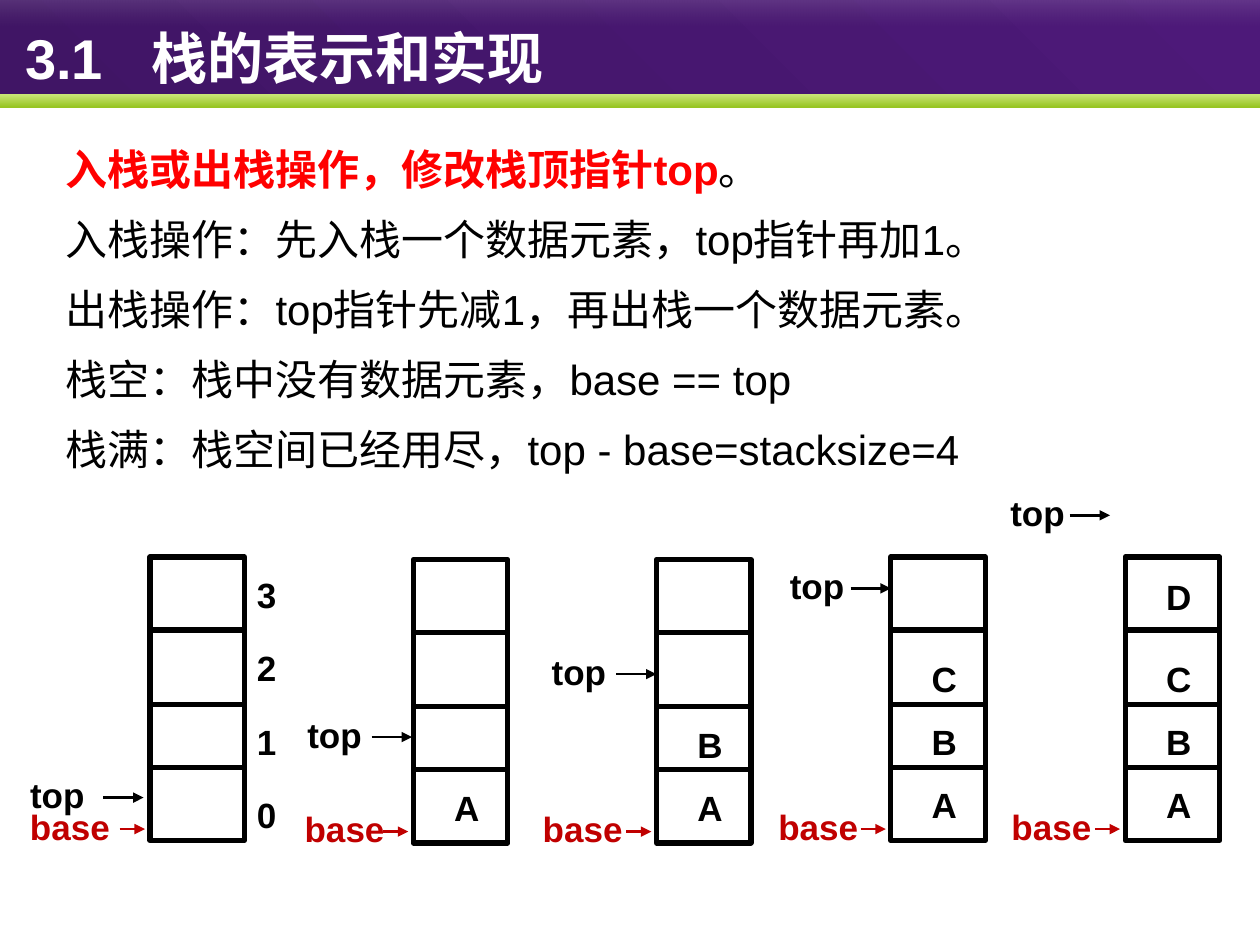
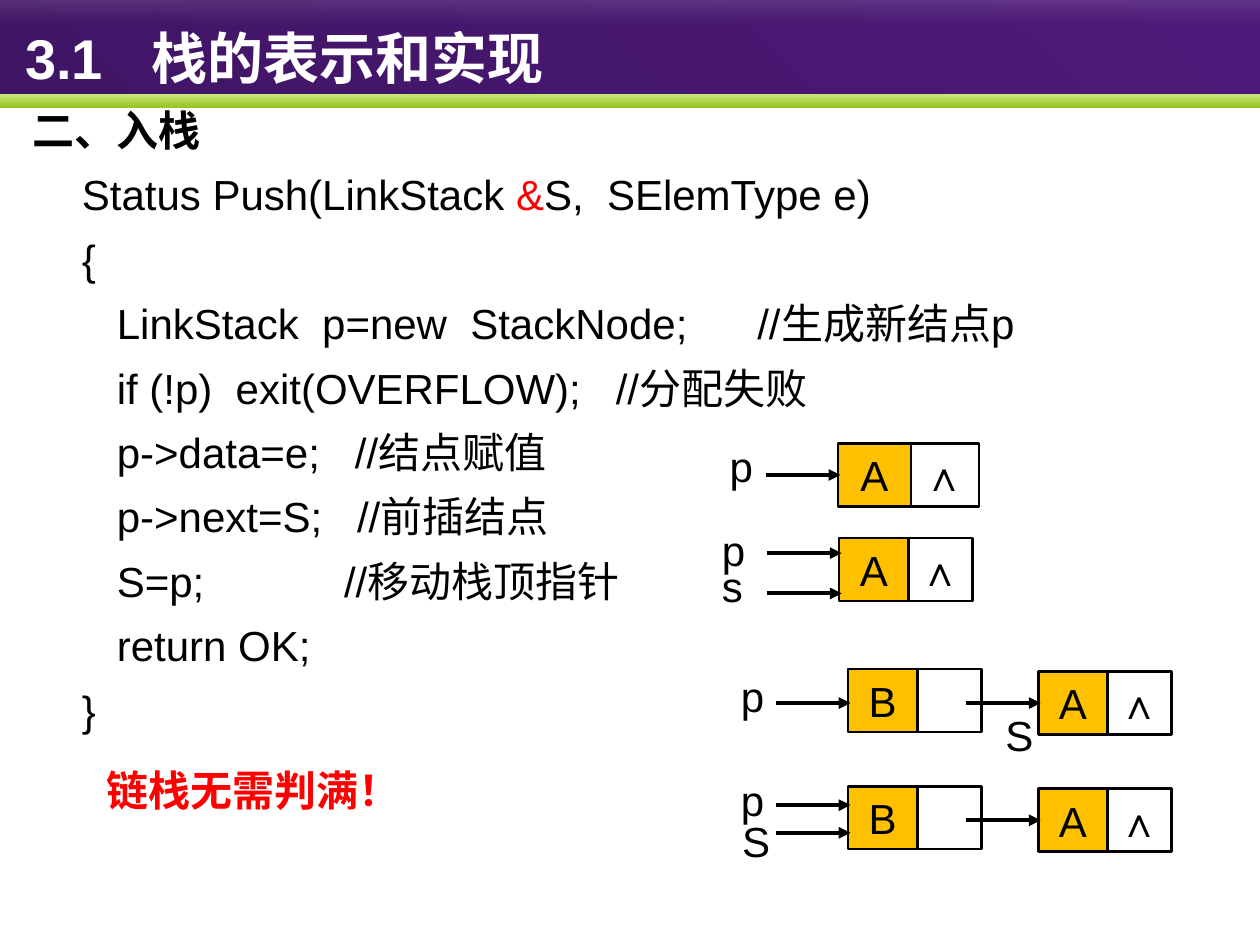
from lxml.etree import SubElement
from pptx import Presentation
from pptx.dml.color import RGBColor
from pptx.enum.shapes import MSO_CONNECTOR as Connector, MSO_SHAPE as Shape
from pptx.enum.text import MSO_ANCHOR as Anchor, MSO_AUTO_SIZE as AutoSize, PP_ALIGN as Align
from pptx.oxml.ns import qn
from pptx.util import Inches, Pt

COLORS = {
    "ink": "000000", "paper": "FFFFFF", "alert": "FF0000", "base": "C00000",
    "data": "FFC000", "purple_dark": "401565", "purple": "4D1979",
    "green_light": "C9E576", "green": "97C523", "gloss": "B6B6B6",
}
FONT = "Arial"
COLUMNS, ROWS = 100, 75
CELL = Inches(10) / COLUMNS
TITLE = "3.1\t栈的表示和实现"

RULES = [
    [("入栈或出栈操作，修改栈顶指针top", {"bold": True, "color": "alert"}), "。"],
    "入栈操作：先入栈一个数据元素，top指针再加1。",
    "出栈操作：top指针先减1，再出栈一个数据元素。",
    "栈空：栈中没有数据元素，base == top",
    "栈满：栈空间已经用尽，top - base=stacksize=4",
]
PUSH_HEADING = [("二、入栈", {"bold": True})]
PUSH_CODE = [
    ["Status Push(LinkStack ", ("&", {"color": "alert"}), "S,  SElemType e)"],
    "{",
    "   LinkStack  p=new  StackNode;      //生成新结点p",
    "   if (!p)  exit(OVERFLOW);   //分配失败",
    "   p->data=e;   //结点赋值",
    "   p->next=S;   //前插结点",
    "   S=p;            //移动栈顶指针",
    "   return OK;",
    "}",
]

STACK_WIDTH, STACK_HEIGHT = 7.5, 22.5
DIVIDERS = (5.8, 11.7, 16.7)
ELEMENT_ROWS = (("A", 17.5), ("B", 12.5), ("C", 7.5), ("D", 1))
STACKS = [
    dict(left=11.9, top=44.2, count=0, top_row=19.1, top_tip=-0.5, top_center=-7.35, base_center=-6.35),
    dict(left=32.8, top=44.4, count=1, top_row=14.1, top_tip=-0.1, top_center=-6.25, base_center=-5.45),
    dict(left=52.1, top=44.4, count=2, top_row=9.1, top_tip=0, top_center=-6.15, base_center=-5.85),
    dict(left=70.7, top=44.2, count=3, top_row=2.5, top_tip=0, top_center=-5.85, base_center=-5.75),
    dict(left=89.3, top=44.2, count=4, top_row=-3.3, top_tip=-1.2, top_center=-6.95, base_center=-5.85),
]

NODE_HEIGHT, NEXT_NODE, LINK_START = 5, 15.1, 9.4
CHAINS = [
    dict(left=66.5, top=35.2, letters="A", data_width=5.8, link_width=5.4,
         pointers=[("p", -8.6, -0.2, 2.5)]),
    dict(left=66.6, top=42.7, letters="A",
         pointers=[("p", -9.3, -1.1, 1.2), ("s", -9.3, 1.8, 4.4)]),
    dict(left=67.3, top=53.1, letters="BA",
         pointers=[("p", -8.5, 0.1, 2.7), ("S", 12.5, 3.2, None)]),
    dict(left=67.3, top=62.4, letters="BA",
         pointers=[("p", -8.5, -0.9, 1.5), ("S", -8.4, 2.3, 3.7)]),
]


def cells(*lengths):
    return [round(length * CELL) for length in lengths]


def rgb(name):
    return RGBColor.from_string(COLORS[name])


def write(holder, paragraphs, size=24, color="ink", bold=False, align=Align.LEFT,
          anchor=Anchor.TOP, wrap=True, inset=None, indent=0, line=None, before=0, tab=None):
    frame = holder.text_frame
    frame.word_wrap = wrap
    frame.auto_size = AutoSize.NONE
    frame.vertical_anchor = anchor
    if inset is not None:
        frame.margin_left = frame.margin_right = cells(inset)[0]
    for index, runs in enumerate(paragraphs):
        paragraph = frame.add_paragraph() if index else frame.paragraphs[0]
        properties = paragraph._p.get_or_add_pPr()
        margin = indent[index] if isinstance(indent, tuple) else indent
        properties.set("marL", str(cells(margin)[0]))
        properties.set("indent", "0")
        SubElement(properties, qn("a:buNone"))
        if tab:
            stops = SubElement(properties, qn("a:tabLst"))
            SubElement(stops, qn("a:tab"), pos=str(cells(tab)[0]), algn="l")
        paragraph.alignment = align
        paragraph.space_before = Pt(before if index else 0)
        if line:
            paragraph.line_spacing = Pt(line)
        for part in [runs] if isinstance(runs, str) else runs:
            text, own = (part, {}) if isinstance(part, str) else part
            run = paragraph.add_run()
            run.text = text
            run.font.name = FONT
            run.font.size = Pt(size)
            run.font.bold = own.get("bold", bold)
            run.font.color.rgb = rgb(own.get("color", color))


def label(slide, text, left, top, width, height, **text_format):
    box = slide.shapes.add_textbox(*cells(left, top, width, height))
    write(box, [text], **text_format)


def block(slide, left, top, width, height, fill=None, weight=None):
    shape = slide.shapes.add_shape(Shape.RECTANGLE, *cells(left, top, width, height))
    shape.shadow.inherit = False
    if fill:
        shape.fill.solid()
        shape.fill.fore_color.rgb = rgb(fill)
    else:
        shape.fill.background()
    if weight:
        shape.line.color.rgb = rgb("ink")
        shape.line.width = Pt(weight)
    else:
        shape.line.fill.background()
    return shape


def rule(slide, start, end, weight, color="ink", arrow=False):
    connector = slide.shapes.add_connector(Connector.STRAIGHT, *cells(*start, *end))
    connector.line.color.rgb = rgb(color)
    connector.line.width = Pt(weight)
    if arrow:
        SubElement(connector.line._get_or_add_ln(), qn("a:tailEnd"), type="triangle")
    SubElement(connector._element.spPr, qn("a:effectLst"))


def gradient_band(slide, top, height, colors, angle, alphas=()):
    band = block(slide, 0, top, COLUMNS, height)
    band.fill.gradient()
    band.fill.gradient_angle = angle
    for stop, color in zip(band.fill.gradient_stops, colors):
        stop.color.rgb = rgb(color)
    for tone, alpha in zip(band._element.iter(qn("a:srgbClr")), alphas):
        SubElement(tone, qn("a:alpha"), val=str(alpha * 1000))
    return band


def dress_layout(layout, slide):
    bands = [
        gradient_band(slide, 0, 7.5, ("purple_dark", "purple"), 45),
        gradient_band(slide, 7.5, 1, ("green_light", "green"), 270),
        gradient_band(slide, 0, 2.1, ("paper", "gloss"), 270, (13, 0)),
    ]
    for depth, band in enumerate(bands, start=2):
        layout.shapes._spTree.insert(depth, band._element)


def place(holder, *box):
    holder.left, holder.top, holder.width, holder.height = cells(*box)


def add_page(deck, layout, body_box, paragraphs, **body_format):
    slide = deck.slides.add_slide(layout)
    title, body = slide.placeholders
    place(title, 1, 0, 99, 9)
    write(title, [TITLE], size=32, color="paper", bold=True, anchor=Anchor.MIDDLE, tab=9.5)
    place(body, *body_box)
    write(body, paragraphs, **body_format)
    return slide


def draw_stack(slide, left, top, count, top_row, top_tip, top_center, base_center):
    caption = dict(size=20, bold=True, align=Align.CENTER)
    block(slide, left, top, STACK_WIDTH, STACK_HEIGHT, "paper", 3)
    for row in DIVIDERS:
        rule(slide, (left, top + row), (left + STACK_WIDTH, top + row), 3)
    for letter, row in ELEMENT_ROWS[:count]:
        label(slide, letter, left + 0.9, top + row, 6.7, 4.3, **caption)
    pointers = [
        ("top", "ink", top_center, top_row - 2.4, top_row, top_tip, 3.2),
        ("base", "base", base_center, 19.2, 21.6, -0.4, 2),
    ]
    for name, color, center, text_row, row, tip, length in pointers:
        label(slide, name, left + center - 4.3, top + text_row, 8.6, 4.3,
              color=color, inset=0, **caption)
        rule(slide, (left + tip - length, top + row), (left + tip, top + row),
             1.5, color, arrow=True)


def draw_indices(slide, left, top):
    for index in range(4):
        label(slide, str(index), left, top + (3 - index) * 5.83, 3.3, 4.3, size=20, bold=True)


def draw_node(slide, left, top, letter, mark, data_width, link_width):
    centered = dict(align=Align.CENTER, anchor=Anchor.MIDDLE, wrap=False)
    data = block(slide, left, top, data_width, NODE_HEIGHT, "data", 1.5)
    write(data, [letter], **centered)
    link = block(slide, left + data_width, top, link_width, NODE_HEIGHT, weight=1.5)
    if mark:
        write(link, [mark], bold=True, **centered)


def draw_chain(slide, left, top, letters, pointers, data_width=5.5, link_width=5.1):
    last = len(letters) - 1
    for index, letter in enumerate(letters):
        draw_node(slide, left + index * NEXT_NODE, top + index * 0.2, letter,
                  "∧" if index == last else "", data_width, link_width)
    for index in range(last):
        start = left + index * NEXT_NODE
        rule(slide, (start + LINK_START, top + 2.7),
             (start + NEXT_NODE + 0.2, top + 2.7), 2.25, arrow=True)
    for name, column, row, arrow_row in pointers:
        box = slide.shapes.add_textbox(*cells(left + column, top + row, 1.9, 4))
        box.text_frame.margin_top = box.text_frame.margin_bottom = 0
        write(box, [name], wrap=False, inset=0)
        if arrow_row is not None:
            rule(slide, (left - 5.7, top + arrow_row), (left + 0.2, top + arrow_row),
                 2.25, arrow=True)


def main():
    deck = Presentation()
    deck.slide_width, deck.slide_height = cells(COLUMNS, ROWS)
    layout = deck.slide_layouts[1]

    states = add_page(deck, layout, (1.2, 9.3, 93.7, 28.3), RULES, indent=3, line=40)
    for stack in STACKS:
        draw_stack(states, **stack)
    draw_indices(states, STACKS[0]["left"] + STACK_WIDTH, 45)

    push = add_page(deck, layout, (1.6, 7.8, 93.8, 47.6), [PUSH_HEADING] + PUSH_CODE,
                    indent=(0,) + (3.9,) * len(PUSH_CODE), line=28.8, before=8)
    label(push, "链栈无需判满！", 7.5, 60.2, 25.6, 5, color="alert", bold=True, wrap=False)
    for chain in CHAINS:
        draw_chain(push, **chain)

    dress_layout(layout, states)
    deck.save("out.pptx")


if __name__ == "__main__":
    main()
